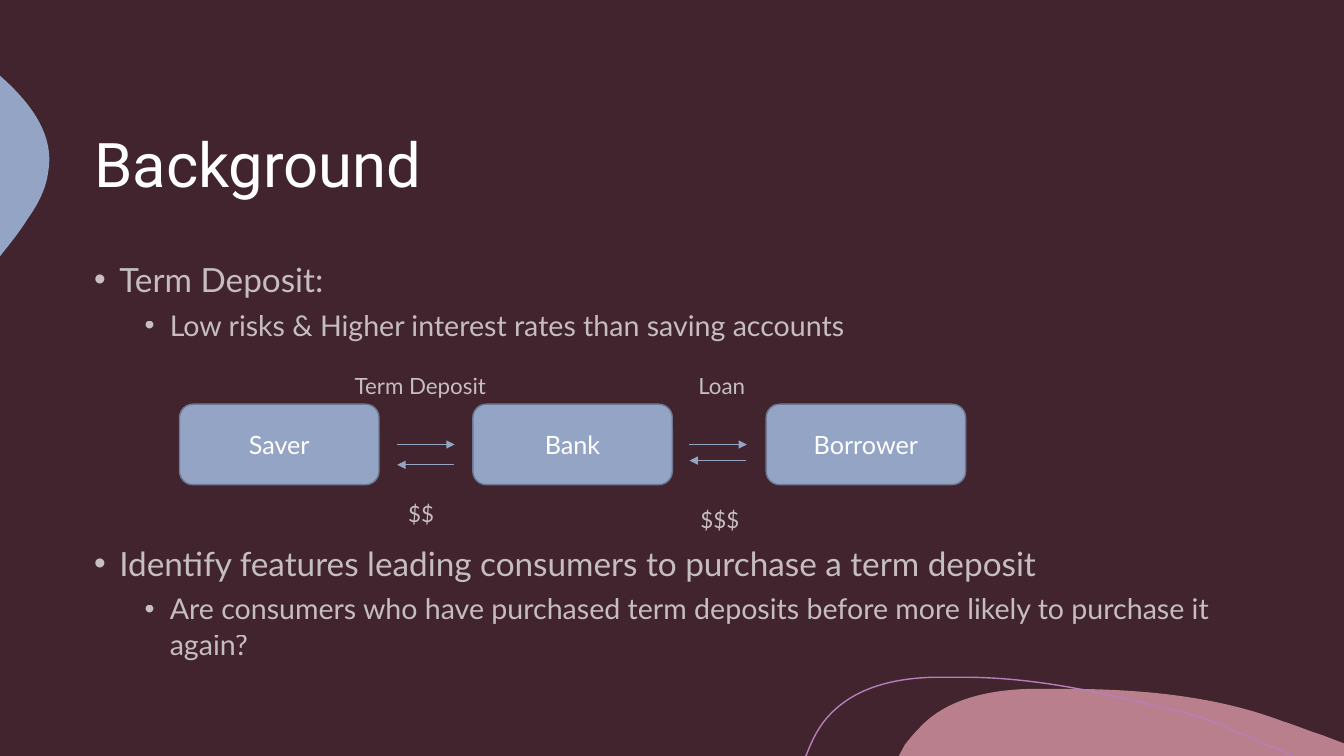
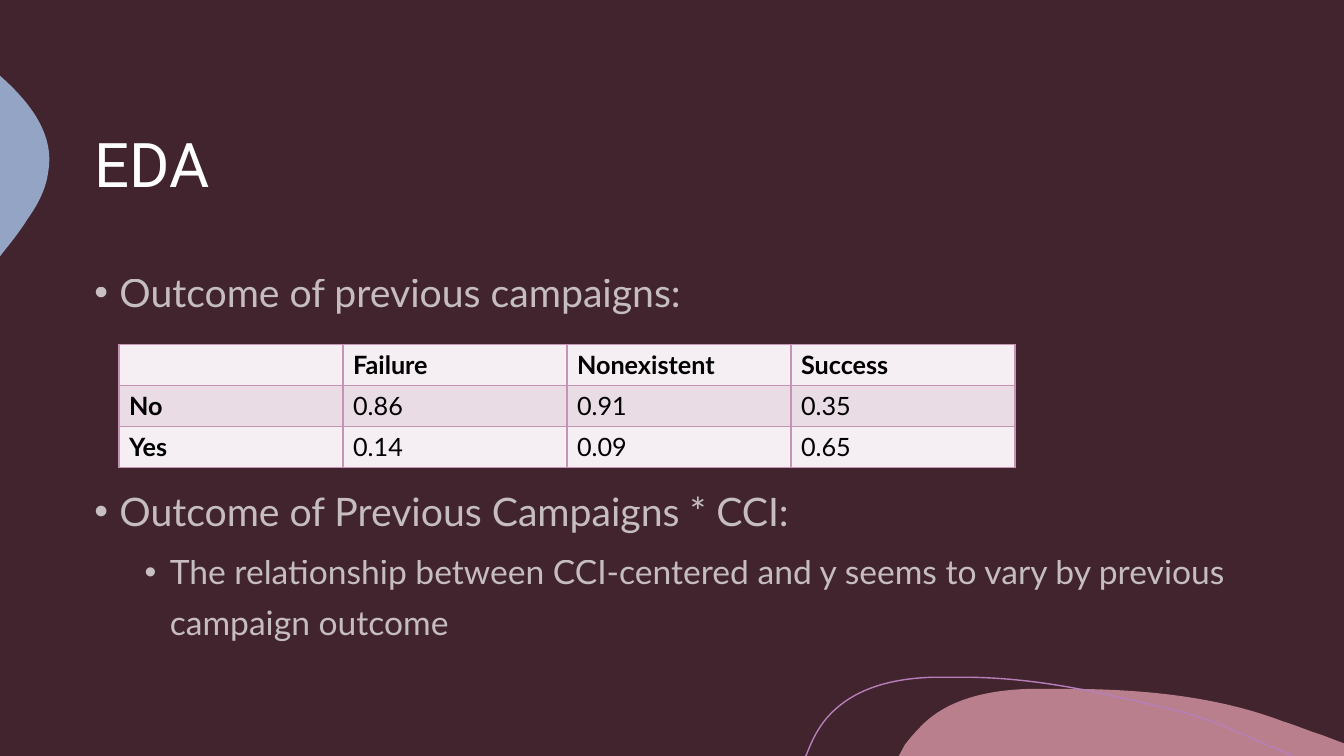
from lxml.etree import Element, SubElement
from pptx import Presentation
from pptx.dml.color import RGBColor
from pptx.enum.shapes import MSO_CONNECTOR as Connector, MSO_SHAPE as Shape
from pptx.enum.text import MSO_ANCHOR as Anchor, PP_ALIGN as Align
from pptx.oxml.ns import qn
from pptx.util import Pt

PX = 3175  # EMU per px, 288 px to the inch
WIDTH, HEIGHT = 3840, 2160
CURVE_UNIT = 3 * PX  # EMU per unit of the decorative outlines

PLUM = RGBColor(0x41, 0x24, 0x2E)
ROSE = RGBColor(0xBA, 0x7F, 0x8D)
BLUE = RGBColor(0x94, 0xA4, 0xC5)
SLATE = RGBColor(0x6D, 0x79, 0x92)
VIOLET = RGBColor(0xB6, 0x7F, 0xBA)
WHITE = RGBColor(0xFF, 0xFF, 0xFF)
BLACK = RGBColor(0x00, 0x00, 0x00)
GRID = RGBColor(0xC5, 0x93, 0xB4)
ROW_TINTS = RGBColor(0xF5, 0xEE, 0xF2), RGBColor(0xEA, 0xDC, 0xE5)

HEAD_FONT, BODY_FONT = "Roboto", "Lato"
SOFT = 70  # opacity of body text, percent
MARGIN = 241

# Outlines: a pair is a straight step, six numbers are a Bezier step
ROSE_HILL = [
    (1012, 656), (1083, 656, 1156, 662, 1222, 687),
    (1235, 691, 1246, 696, 1259, 700), (1280, 708), (1280, 720),
    (856, 720), (862, 709), (866, 704, 870, 699, 875, 694),
    (901, 665, 943, 657, 982, 656), (992, 656, 1002, 656, 1012, 656),
]
BLUE_EDGE = [
    (0, 72), (1, 73), (29, 98, 52, 128, 46, 163),
    (44, 180, 36, 195, 26, 209), (23, 214, 16, 224, 8, 234), (0, 244),
]
VIOLET_ARC = [
    (767, 720), (768, 719), (774, 703, 781, 690, 791, 680),
    (816, 654, 853, 646, 889, 645), (917, 645),
    (992, 645, 1056, 662, 1109, 674), (1161, 686, 1177, 698, 1232, 720),
]


def write(paragraph, text, *, size, font=BODY_FONT, color=WHITE, opacity=100,
          bold=False, align=None, spacing=None, before=None):
    run = paragraph.add_run()
    run.text = text
    run.font.name, run.font.size, run.font.bold = font, Pt(size), bold
    run.font.color.rgb = color
    if opacity < 100:
        tint = run._r.rPr.find(".//" + qn("a:srgbClr"))
        SubElement(tint, qn("a:alpha"), val=str(opacity * 1000))
    paragraph.alignment = align
    paragraph.line_spacing = spacing
    if before is not None:
        paragraph.space_before = Pt(before)


class Deck:
    def __init__(self):
        self.prs = Presentation()
        self.prs.slide_width, self.prs.slide_height = WIDTH * PX, HEIGHT * PX
        backdrop = self.prs.slide_master.background.fill
        backdrop.solid()
        backdrop.fore_color.rgb = PLUM
        self.slide = None

    def new_slide(self, title):
        self.slide = self.prs.slides.add_slide(self.prs.slide_layouts[6])
        self.outline(ROSE_HILL, fill=ROSE)
        self.outline(BLUE_EDGE, fill=BLUE)
        self.outline(VIOLET_ARC, line=VIOLET)
        frame = self.frame(MARGIN, 240, 3360, 480)
        frame.vertical_anchor = Anchor.MIDDLE
        write(frame.paragraphs[0], title, size=44, font=HEAD_FONT, spacing=0.9)

    def paint(self, shape, fill=None, line=None):
        shape.shadow.inherit = False
        if fill is None:
            shape.fill.background()
        else:
            shape.fill.solid()
            shape.fill.fore_color.rgb = fill
        if line is None:
            shape.line.fill.background()
        else:
            shape.line.color.rgb = line
            shape.line.width = Pt(1)

    def outline(self, steps, fill=None, line=None):
        steps = [[n * CURVE_UNIT for n in step] for step in steps]
        builder = self.slide.shapes.build_freeform(*steps[0])
        builder.add_line_segments([step[-2:] for step in steps[1:]],
                                  close=fill is not None)
        shape = builder.convert_to_shape()
        self.paint(shape, fill, line)

        # Bend the straight segments that have control points
        segments = list(shape._element.iter(qn("a:lnTo")))
        for segment, step in zip(segments, steps[1:]):
            if len(step) == 6:
                curve = Element(qn("a:cubicBezTo"))
                for x, y in zip(step[::2], step[1::2]):
                    SubElement(curve, qn("a:pt"), x=str(x - shape.left),
                               y=str(y - shape.top))
                segment.getparent().replace(segment, curve)

    def frame(self, x, y, w, h):
        box = self.slide.shapes.add_textbox(x * PX, y * PX, w * PX, h * PX)
        box.text_frame.word_wrap = True
        return box.text_frame

    def label(self, x, y, w, text):
        write(self.frame(x, y, w, 107).paragraphs[0], text, size=16, opacity=SOFT)

    def bullets(self, items, *, w, sizes, spacing):
        """Items are (level, space before in points, text)."""
        frame = self.frame(MARGIN, 720, w, 1204)
        for i, (level, before, text) in enumerate(items):
            paragraph = frame.add_paragraph() if i else frame.paragraphs[0]
            paragraph.level = level
            write(paragraph, text, size=sizes[level], opacity=SOFT,
                  spacing=spacing, before=before)
            props = paragraph._p.get_or_add_pPr()
            props.set("marL", str((216 if level else 72) * PX))
            props.set("indent", str(-72 * PX))
            SubElement(props, qn("a:buFont"), typeface="Arial")
            SubElement(props, qn("a:buChar"), char="•")

    def node(self, x, y, w, h, text):
        node = self.slide.shapes.add_shape(
            Shape.ROUNDED_RECTANGLE, x * PX, y * PX, w * PX, h * PX)
        self.paint(node, BLUE, SLATE)
        node.text_frame.vertical_anchor = Anchor.MIDDLE
        write(node.text_frame.paragraphs[0], text, size=18, align=Align.CENTER)

    def arrow(self, x1, x2, y):
        arrow = self.slide.shapes.add_connector(
            Connector.STRAIGHT, x1 * PX, y * PX, x2 * PX, y * PX)
        arrow.line.color.rgb = BLUE
        arrow.line.width = Pt(0.5)
        SubElement(arrow.line._get_or_add_ln(), qn("a:tailEnd"), type="triangle")
        SubElement(arrow._element.spPr, qn("a:effectLst"))

    def table(self, x, y, col_w, row_h, rows):
        count = len(rows[0])
        table = self.slide.shapes.add_table(
            len(rows), count, x * PX, y * PX,
            count * col_w * PX, len(rows) * row_h * PX).table
        for r, values in enumerate(rows):
            for c, value in enumerate(values):
                cell = table.cell(r, c)
                self.borders(cell)
                cell.fill.solid()
                cell.fill.fore_color.rgb = ROW_TINTS[r % 2]
                if value:
                    write(cell.text_frame.paragraphs[0], value, size=18,
                          color=BLACK, bold=r == 0 or c == 0)

    def borders(self, cell):
        props = cell._tc.get_or_add_tcPr()
        for side in ("lnL", "lnR", "lnT", "lnB"):
            edge = SubElement(props, qn("a:" + side), w=str(Pt(1)))
            fill = SubElement(edge, qn("a:solidFill"))
            SubElement(fill, qn("a:srgbClr"), val=str(GRID))


def background(deck):
    deck.new_slide("Background")
    deck.bullets([
        (0, 10, "Term Deposit:"),
        (1, 5, "Low risks & Higher interest rates than saving accounts"),
        (0, 142, "Identify features leading consumers to purchase a term deposit"),
        (1, 5, "Are consumers who have purchased term deposits before more "
               "likely to purchase it again?"),
    ], w=3456, sizes=(23.8, 20.4), spacing=1.05)

    # Flow of money between the three parties
    for i, party in enumerate(("Saver", "Bank", "Borrower")):
        deck.node(513 + i * 838, 1155, 570, 230, party)
    for start, back_y in ((1135, 1328), (1970, 1316)):
        deck.arrow(start, start + 164, 1270)
        deck.arrow(start + 161, start, back_y)
    deck.label(985, 1048, 458, "Term Deposit")
    deck.label(1967, 1048, 325, "Loan")
    deck.label(1973, 1431, 325, "$$$")
    deck.label(1138, 1414, 325, "$$")


def eda(deck):
    deck.new_slide("EDA")
    deck.bullets([
        (0, 10, "Outcome of previous campaigns:"),
        (0, 114, "Outcome of Previous Campaigns * CCI:"),
        (1, 5, "The relationship between CCI-centered and y seems to vary by "
               "previous campaign outcome"),
    ], w=3360, sizes=(28, 24), spacing=1.25)
    deck.table(340, 985, 640, 117, [
        ("", "Failure", "Nonexistent", "Success"),
        ("No", "0.86", "0.91", "0.35"),
        ("Yes", "0.14", "0.09", "0.65"),
    ])


def main():
    deck = Deck()
    background(deck)
    eda(deck)
    deck.prs.save("out.pptx")


if __name__ == "__main__":
    main()
